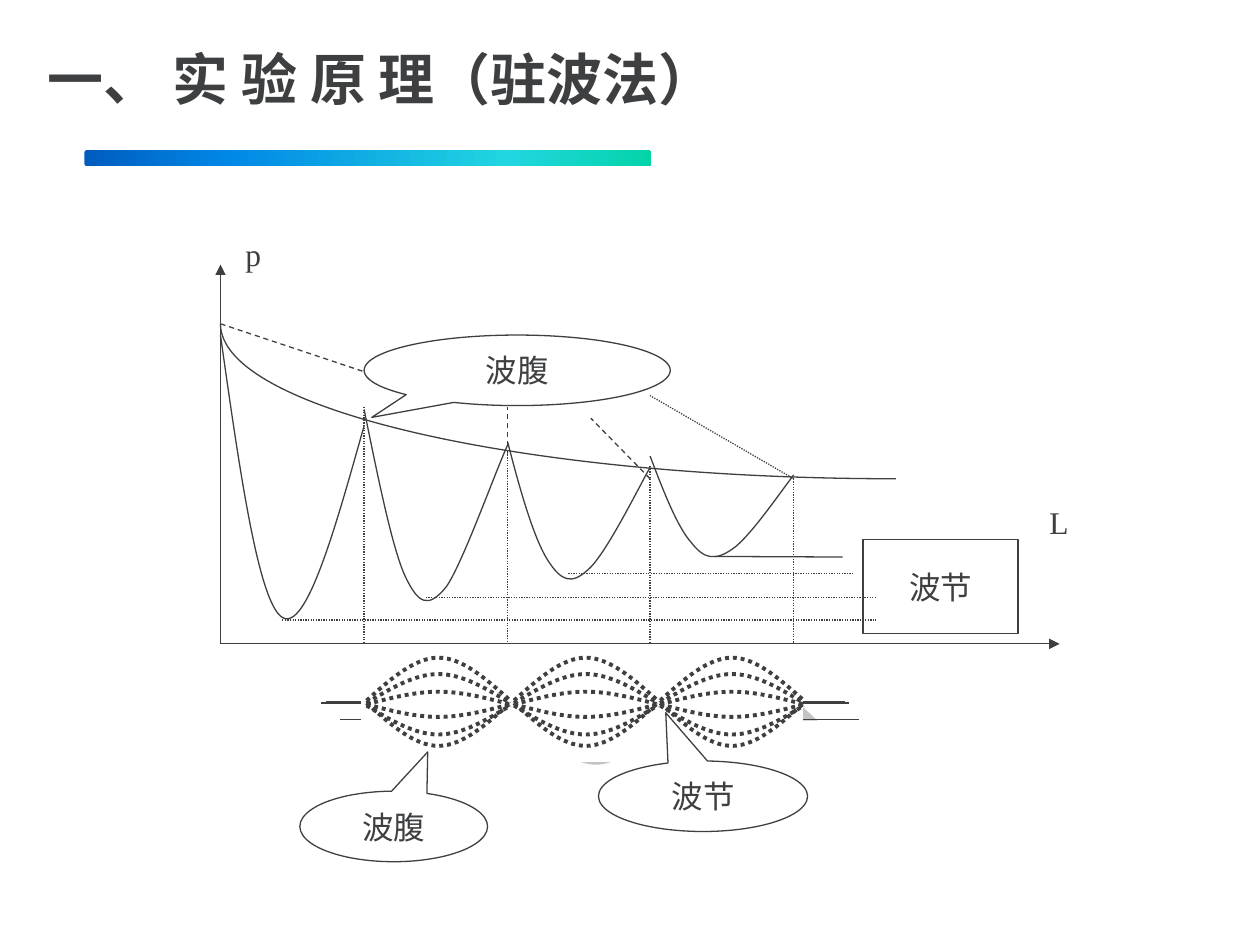
from lxml import etree
from pptx import Presentation
from pptx.dml.color import RGBColor
from pptx.enum.dml import MSO_LINE
from pptx.enum.shapes import MSO_CONNECTOR, MSO_SHAPE
from pptx.enum.text import MSO_ANCHOR, MSO_AUTO_SIZE, PP_ALIGN
from pptx.oxml import parse_xml
from pptx.oxml.ns import qn
from pptx.util import Inches, Pt

INK = RGBColor(0x3D, 0x3F, 0x41)
WHITE = RGBColor(0xFF, 0xFF, 0xFF)
GRAY = RGBColor(0xC4, 0xC4, 0xC4)
FONT = "Times New Roman"
DOT, DASH = MSO_LINE.ROUND_DOT, MSO_LINE.DASH
OVAL = MSO_SHAPE.OVAL_CALLOUT
BOX = MSO_SHAPE.LINE_CALLOUT_1
RECT = MSO_SHAPE.RECTANGLE
CENTER, LEFT = PP_ALIGN.CENTER, PP_ALIGN.LEFT

TITLE = "一、 实 验 原 理（驻波法）"
STOPS = [(0, "005CBF"), (25, "0087E6"), (75, "21D6E0"), (100, "03D4A8")]
ORIGIN = (1.75, 5.11)
AXES = [(8.41, 5.11), (1.75, 2.1)]
NODES = [(2.89, 3.23), (4.03, 3.61), (5.16, 3.7), (6.3, 3.8)]
CURVES = [
    [(7.11, 3.8), (4.15, 3.8), (1.75, 3.25), (1.75, 2.57)],
    [(1.75, 2.66), (1.9, 3.72), (2.05, 4.78), (2.24, 4.9),
     (2.43, 5.02), (2.66, 4.2), (2.89, 3.38)],
    [(2.89, 3.25), (3, 3.79), (3.11, 4.33), (3.21, 4.56), (3.32, 4.8),
     (3.4, 4.83), (3.54, 4.66), (3.67, 4.48), (3.94, 3.72), (4.03, 3.53)],
    [(4.03, 3.51), (4.13, 3.9), (4.24, 4.28), (4.35, 4.45), (4.46, 4.62),
     (4.54, 4.64), (4.67, 4.52), (4.81, 4.4), (5.08, 3.85), (5.16, 3.71)],
    [(5.16, 3.62), (5.27, 3.91), (5.38, 4.19), (5.49, 4.31), (5.59, 4.44),
     (5.68, 4.45), (5.81, 4.36), (5.95, 4.27), (6.22, 3.87), (6.3, 3.77)],
]
LABELS = [("L", 7.92, 3.94, 0.97), ("p", 1.36, 1.82, 1.3)]
GUIDES = [
    ((1.75, 2.57), (2.89, 2.95), DASH),
    ((4.03, 3.61), (4.03, 3.23), DASH),
    ((5.16, 3.8), (4.69, 3.32), DASH),
    ((6.3, 3.8), (5.16, 3.14), DOT),
]
LEVELS = [(2.24, 6.95, 4.92), (3.38, 6.95, 4.74), (4.51, 6.78, 4.55)]
NOTES = [
    (OVAL, "波腹", (2.89, 2.66, 2.43, 0.56), (-0.475, 0.667)),
    (BOX, "波节", (6.85, 4.28, 1.23, 0.75), (0.188, -0.132, 0.182, -0.956)),
    (OVAL, "波腹", (2.38, 6.28, 1.49, 0.56), (0.181, -1.057)),
    (OVAL, "波节", (4.75, 6.04, 1.66, 0.56), (-0.178, -1.184)),
]
SHADES = [(4.16, 5.71, 0.36), (5.35, 5.72, -0.35)]
STRINGS = [(2.7, 6.82, 5.71), (2.59, 6.71, 5.57), (2.55, 6.74, 5.58)]
LOOPS = [2.91, 4.08, 5.24]
WAVES = [(5.58, 0.34), (5.56, -0.34), (5.6, 0.23),
         (5.58, -0.23), (5.59, 0.1), (5.59, -0.1)]


def pen(line, dash=None, width=0.75):
    line.color.rgb = INK
    line.width = Pt(width)
    if dash:
        line.dash_style = dash


def link(start, end, dash=None, arrow=False):
    ends = [Inches(v) for v in (*start, *end)]
    wire = shapes.add_connector(MSO_CONNECTOR.STRAIGHT, *ends)
    pen(wire.line, dash)
    prop = wire._element.spPr
    if arrow:
        etree.SubElement(prop.find(qn("a:ln")), qn("a:tailEnd"), type="triangle")
    etree.SubElement(prop, qn("a:effectLst"))


def curve(knots):
    spots = [(Inches(x), Inches(y)) for x, y in knots]
    form = shapes.build_freeform(*spots[0], scale=1.0)
    form.add_line_segments(spots[1:], close=False)
    shape = form.convert_to_shape()
    shape.shadow.inherit = False
    shape.fill.background()
    legs = list(shape._element.iter(qn("a:lnTo")))
    for i in range(0, len(legs), 3):
        bend = etree.Element(qn("a:cubicBezTo"))
        legs[i].addprevious(bend)
        for leg in legs[i:i + 3]:
            bend.append(leg[0])
            leg.getparent().remove(leg)
    return shape


def arch(x, y, rise):
    lifts = (0, 0.5, 1, 1, 1, 0.5, 0)
    return curve([(x + 0.19 * i, y + rise * v) for i, v in enumerate(lifts)])


def place(kind, area):
    shape = shapes.add_shape(kind, *[Inches(v) for v in area])
    shape.shadow.inherit = False
    shape.fill.solid()
    shape.fill.fore_color.rgb = WHITE
    return shape


def write(frame, text, size=18, align=CENTER, bold=False):
    para = frame.paragraphs[0]
    para.alignment = align
    run = para.add_run()
    run.text = text
    font = run.font
    font.name, font.size, font.bold = FONT, Pt(size), bold
    font.color.rgb = INK


def note(kind, text, area, tips):
    shape = place(kind, area)
    pen(shape.line)
    for i, tip in enumerate(tips):
        shape.adjustments[i] = tip
    frame = shape.text_frame
    frame.word_wrap = True
    frame.vertical_anchor = MSO_ANCHOR.MIDDLE
    if kind == OVAL:
        frame.margin_left = frame.margin_right = Inches(0.04)
        frame.margin_top = frame.margin_bottom = Inches(0.04)
    write(frame, text)


deck = Presentation()
deck.slide_width, deck.slide_height = Inches(10), Inches(7.5)
slide = deck.slides.add_slide(deck.slide_layouts[5])
shapes = slide.shapes

for end in AXES:
    link(ORIGIN, end, arrow=True)
for x, y in NODES:
    link((x, y), (x, ORIGIN[1]), DOT)
for knots in CURVES:
    pen(curve(knots).line)
for text, x, y, wide in LABELS:
    box = shapes.add_textbox(Inches(x), Inches(y), Inches(wide), Inches(0.4))
    box.text_frame.word_wrap = True
    write(box.text_frame, text)
note(*NOTES[0])
for start, end, dash in GUIDES:
    link(start, end, dash)
note(*NOTES[1])
for left, right, y in LEVELS:
    link((left, y), (right, y), DOT)

for x, y, rise in SHADES:
    shade = arch(x, y, rise)
    shade.fill.solid()
    shade.fill.fore_color.rgb = GRAY
    shade.line.fill.background()
for left, right, y in STRINGS:
    link((left, y), (right, y))
panel = place(RECT, (2.87, 5.12, 3.5, 0.92))
panel.line.color.rgb = WHITE
panel.line.width = Pt(0.75)
for y, rise in WAVES:
    for x in LOOPS:
        pen(arch(x, y, rise).line, DOT, 2.25)
for item in NOTES[2:]:
    note(*item)

title = shapes.title
title.left, title.top = Inches(0.28), Inches(0.11)
title.width, title.height = Inches(7.35), Inches(0.83)
frame = title.text_frame
frame.auto_size = MSO_AUTO_SIZE.NONE
frame.word_wrap = True
frame.vertical_anchor = MSO_ANCHOR.BOTTOM
write(frame, TITLE, 32, LEFT, True)

bar = place(MSO_SHAPE.FLOWCHART_ALTERNATE_PROCESS, (0.67, 1.19, 4.5, 0.13))
bar.line.fill.background()
stops = "".join(
    f'<a:gs pos="{at * 1000}"><a:srgbClr val="{tone}"/></a:gs>' for at, tone in STOPS)
blend = parse_xml(
    '<a:gradFill xmlns:a="http://schemas.openxmlformats.org/drawingml/2006/main">'
    f'<a:gsLst>{stops}</a:gsLst><a:lin ang="0" scaled="1"/></a:gradFill>')
prop = bar._element.spPr
prop.replace(prop.find(qn("a:solidFill")), blend)

deck.save("out.pptx")
